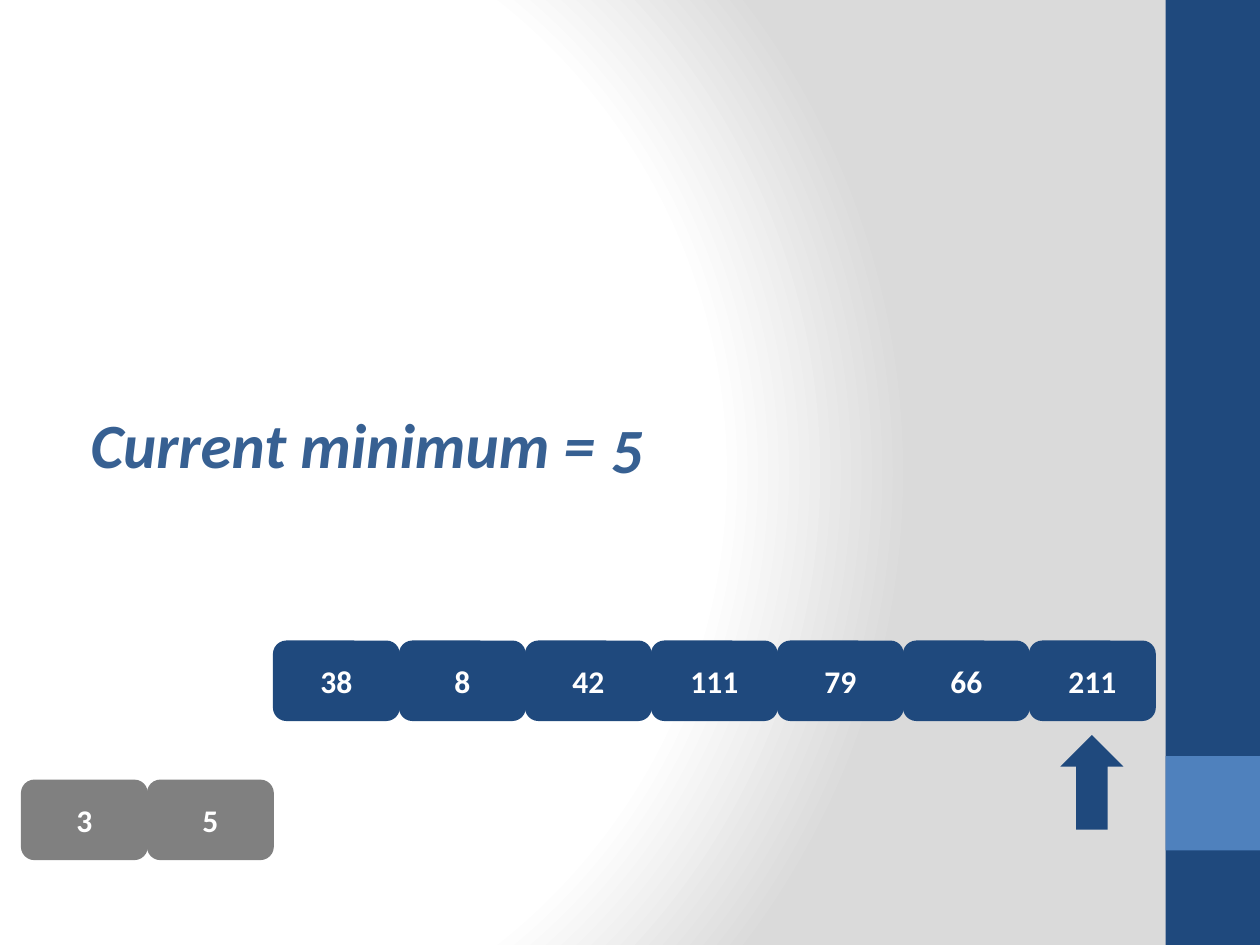
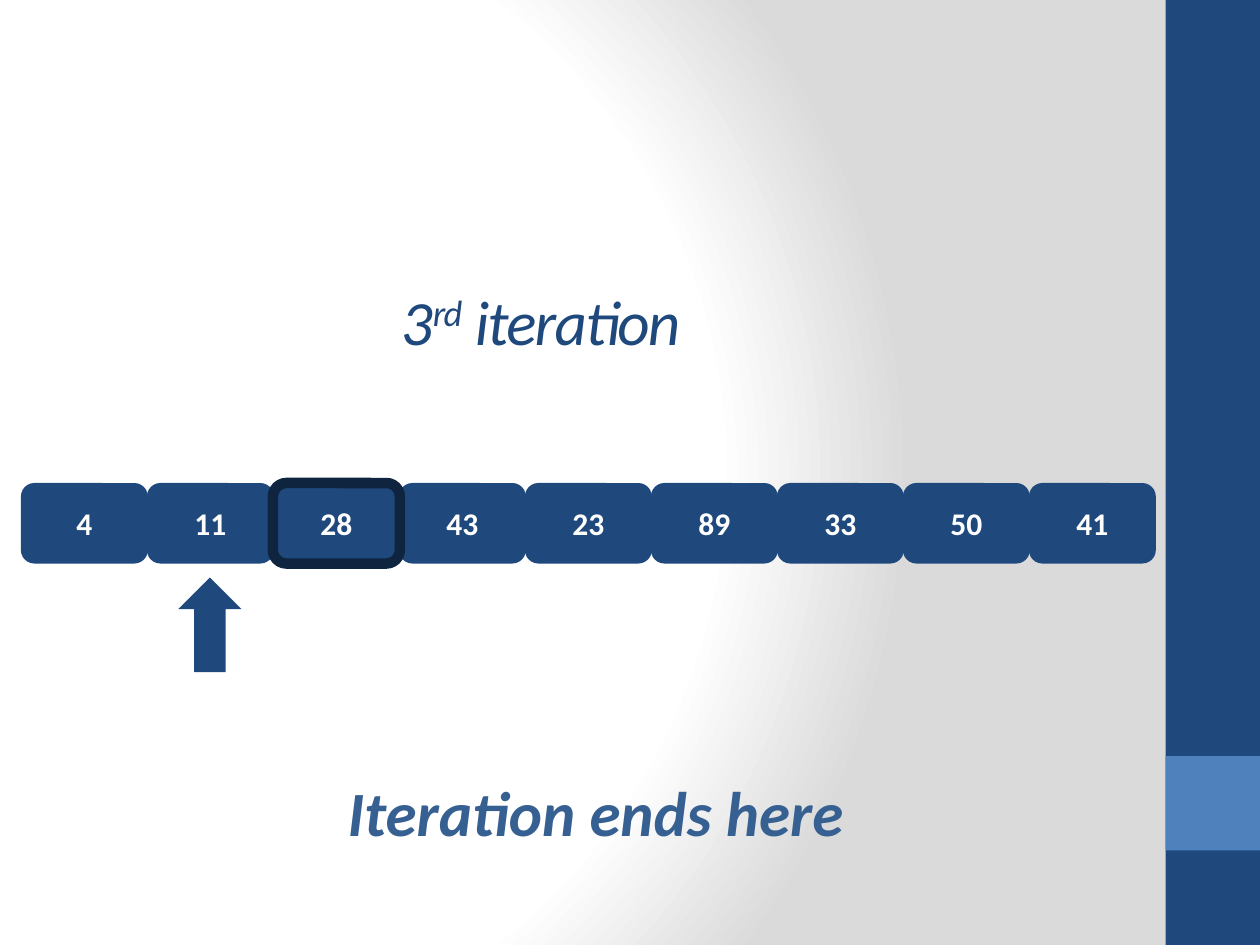
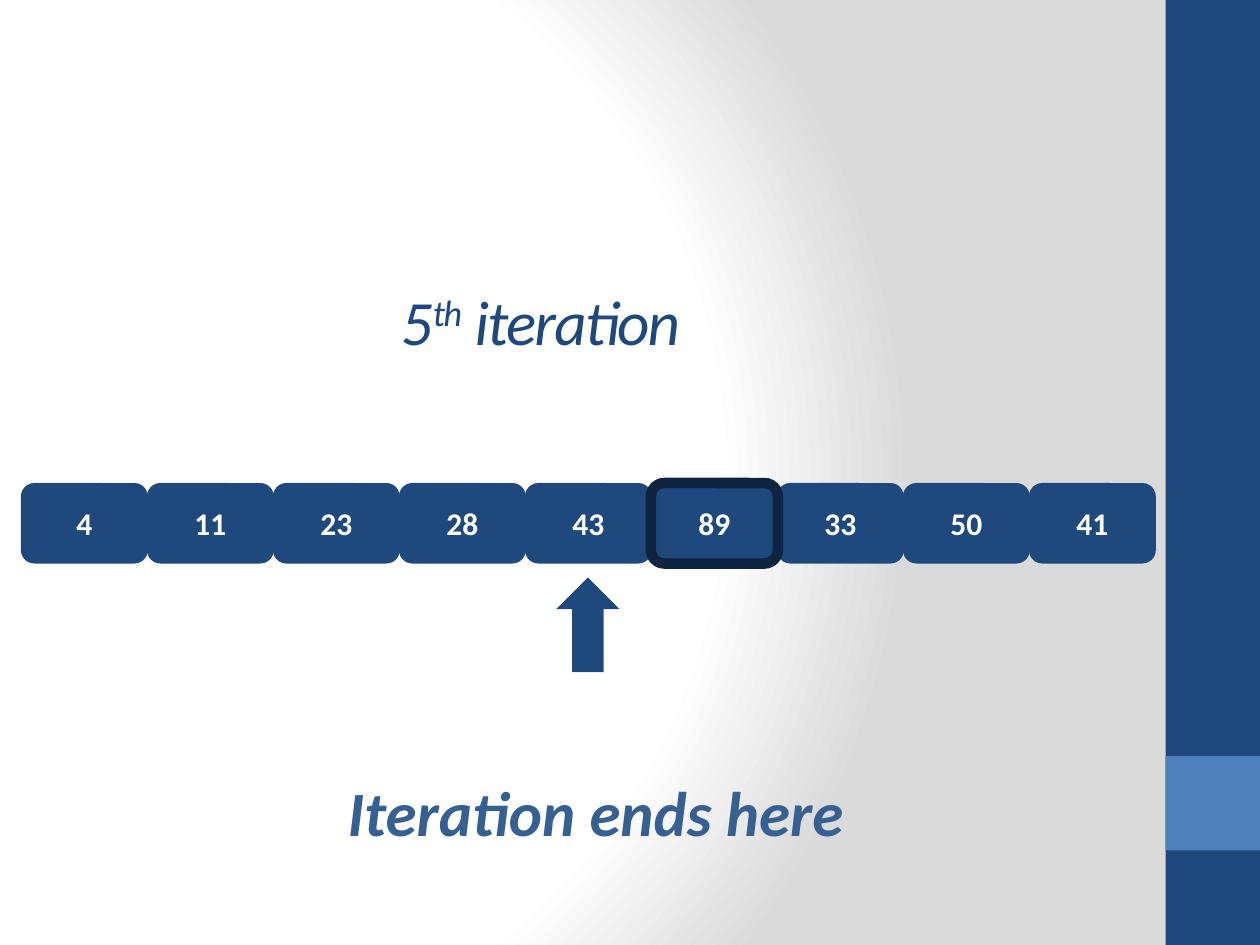
"""Three slides on sorting: a minimum search and two insertion iterations."""
from dataclasses import dataclass

from pptx import Presentation
from pptx import oxml
from pptx import util as u
from pptx.dml import color
from pptx.enum import shapes, text
from pptx.oxml import ns


@dataclass(frozen=True)
class Theme:
    """Colours, font and type sizes of the deck."""
    navy: str = "1F497D"
    blue: str = "4F81BD"
    message: str = "376092"
    outline: str = "0F243E"
    grey: str = "808080"
    white: str = "FFFFFF"
    backdrop: str = "DADADA"
    font: str = "Calibri"
    large: int = 36
    small: int = 18


THEME = Theme()
SLIDE_WIDTH, SLIDE_HEIGHT = 720, 540
BAND_LEFT, BAND_WIDTH = 666, 54
ROW_LEFT, CELL_PITCH = 12, 72
CELL_WIDTH, CELL_HEIGHT = 72.5, 46
POINTER_WIDTH, POINTER_HEIGHT, POINTER_DROP = 36, 54, 54
MESSAGE_INSET = 106
INSERTION_TOP = 276


def cell_left(index):
    """Return the left edge of the cell at an array index."""
    return ROW_LEFT + index * CELL_PITCH


def add_text(paragraph, content, *, size=THEME.large, fill=THEME.message,
             bold=False, italic=False, spacing=0, baseline=0):
    """Append one formatted run; spacing is in points, baseline in percent."""
    run = paragraph.add_run()
    run.text = content
    font = run.font
    font.name, font.size = THEME.font, u.Pt(size)
    font.bold, font.italic = bold, italic
    font.color.rgb = color.RGBColor.from_string(fill)
    properties = run._r.get_or_add_rPr()
    if spacing:
        properties.set("spc", str(round(spacing * 100)))
    if baseline:
        properties.set("baseline", str(baseline * 1000))


def add_block(slide, kind, left, top, width, height, fill, outline=None):
    """Add a flat preset shape, with a heavy outline if a colour is given."""
    shape = slide.shapes.add_shape(
        kind, u.Pt(left), u.Pt(top), u.Pt(width), u.Pt(height))
    shape.shadow.inherit = False
    shape.fill.solid()
    shape.fill.fore_color.rgb = color.RGBColor.from_string(fill)
    if outline:
        shape.line.color.rgb = color.RGBColor.from_string(outline)
        shape.line.width = u.Pt(6)
    else:
        shape.line.fill.background()
    return shape


def add_box(slide, left, top, width, height):
    """Add a wrapping text box and return its text frame."""
    box = slide.shapes.add_textbox(
        u.Pt(left), u.Pt(top), u.Pt(width), u.Pt(height))
    box.text_frame.word_wrap = True
    return box.text_frame


def add_cell(slide, index, top, value, fill, outline=None):
    """Add one array cell with its value."""
    cell = add_block(slide, shapes.MSO_SHAPE.ROUNDED_RECTANGLE,
                     cell_left(index), top, CELL_WIDTH, CELL_HEIGHT,
                     fill, outline)
    frame = cell.text_frame
    frame.vertical_anchor = text.MSO_ANCHOR.MIDDLE
    paragraph = frame.paragraphs[0]
    paragraph.alignment = text.PP_ALIGN.CENTER
    add_text(paragraph, str(value), size=THEME.small, fill=THEME.white,
             bold=True)


def add_row(slide, top, values, start=0, fill=THEME.navy, marked=None):
    """Add a row of cells; the marked one is outlined and lies in front."""
    cells = list(enumerate(values, start))
    for index, value in sorted(cells, key=lambda cell: cell[0] == marked):
        outline = THEME.outline if index == marked else None
        add_cell(slide, index, top, value, fill, outline)


def add_pointer(slide, index, row_top):
    """Add an upward arrow below the cell at an index."""
    add_block(slide, shapes.MSO_SHAPE.UP_ARROW,
              cell_left(index) + (CELL_PITCH - POINTER_WIDTH) / 2,
              row_top + POINTER_DROP, POINTER_WIDTH, POINTER_HEIGHT,
              THEME.navy)


def add_message(slide, top, height, content, alignment):
    """Add the large message in the body area."""
    frame = add_box(slide, 36, top, 600, height)
    frame.margin_top = u.Pt(MESSAGE_INSET)
    paragraph = frame.paragraphs[0]
    paragraph.alignment = alignment
    paragraph._p.get_or_add_pPr().set("marL", str(u.Pt(8.64)))
    add_text(paragraph, content, bold=True, italic=True)


def add_heading(slide, number, suffix):
    """Add the iteration heading with a raised ordinal suffix."""
    frame = add_box(slide, 222, 138, 192, 90)
    frame.vertical_anchor = text.MSO_ANCHOR.MIDDLE
    for content, baseline in ((number, 0), (suffix, 30), (" iteration", 0)):
        add_text(frame.paragraphs[0], content, fill=THEME.navy, italic=True,
                 spacing=-1, baseline=baseline)


def style_master(master, slide):
    """Give the master its gradient and bands, drawn by way of a slide."""
    master.background.fill.solid()
    properties = master.element.cSld.bg.bgPr
    stops = "".join(
        f'<a:gs pos="{position * 1000}"><a:srgbClr val="{shade}"/></a:gs>'
        for position, shade in ((0, THEME.white), (75, THEME.white),
                                (100, THEME.backdrop)))
    gradient = oxml.parse_xml(
        f'<a:gradFill {ns.nsdecls("a")} rotWithShape="1">'
        f'<a:gsLst>{stops}</a:gsLst><a:path path="circle">'
        '<a:fillToRect l="20000" t="50000" r="100000" b="50000"/>'
        '</a:path></a:gradFill>')
    properties.replace(properties[0], gradient)

    bands = ((0, SLIDE_HEIGHT, THEME.navy), (432, BAND_WIDTH, THEME.blue))
    for number, (top, height, fill) in enumerate(bands, 101):
        band = add_block(slide, shapes.MSO_SHAPE.RECTANGLE, BAND_LEFT, top,
                         BAND_WIDTH, height, fill)
        band.element.nvSpPr.cNvPr.set("id", str(number))
        master.element.cSld.spTree.append(band.element)


def fill_minimum_slide(slide):
    """Show the search for the minimum, with the removed values below."""
    row_top = 366
    add_message(slide, 126, 378, "Current minimum = ", text.PP_ALIGN.LEFT)
    add_row(slide, row_top, (38, 8, 42, 111, 79, 66, 211), start=2)
    add_row(slide, 445.5, (3, 5), fill=THEME.grey)
    add_pointer(slide, 8, row_top)
    frame = add_box(slide, 342, 231, 60.5, 51)
    frame.auto_size = text.MSO_AUTO_SIZE.SHAPE_TO_FIT_TEXT
    add_text(frame.paragraphs[0], "5", bold=True, italic=True)


def fill_insertion_slide(slide, number, suffix, values, marked, pointer):
    """Show the end of one insertion iteration."""
    add_message(slide, 336, 174, "Iteration ends here", text.PP_ALIGN.CENTER)
    add_row(slide, INSERTION_TOP, values, marked=marked)
    add_pointer(slide, pointer, INSERTION_TOP)
    add_heading(slide, number, suffix)


def main():
    """Build and save the deck."""
    presentation = Presentation()
    presentation.slide_width = u.Pt(SLIDE_WIDTH)
    presentation.slide_height = u.Pt(SLIDE_HEIGHT)
    blank = presentation.slide_layouts[6]
    minimum, third, fifth = (
        presentation.slides.add_slide(blank) for _ in range(3))
    style_master(presentation.slide_master, minimum)
    fill_minimum_slide(minimum)
    fill_insertion_slide(third, "3", "rd",
                         (4, 11, 28, 43, 23, 89, 33, 50, 41),
                         marked=2, pointer=1)
    fill_insertion_slide(fifth, "5", "th",
                         (4, 11, 23, 28, 43, 89, 33, 50, 41),
                         marked=5, pointer=4)
    presentation.save("out.pptx")


main()
